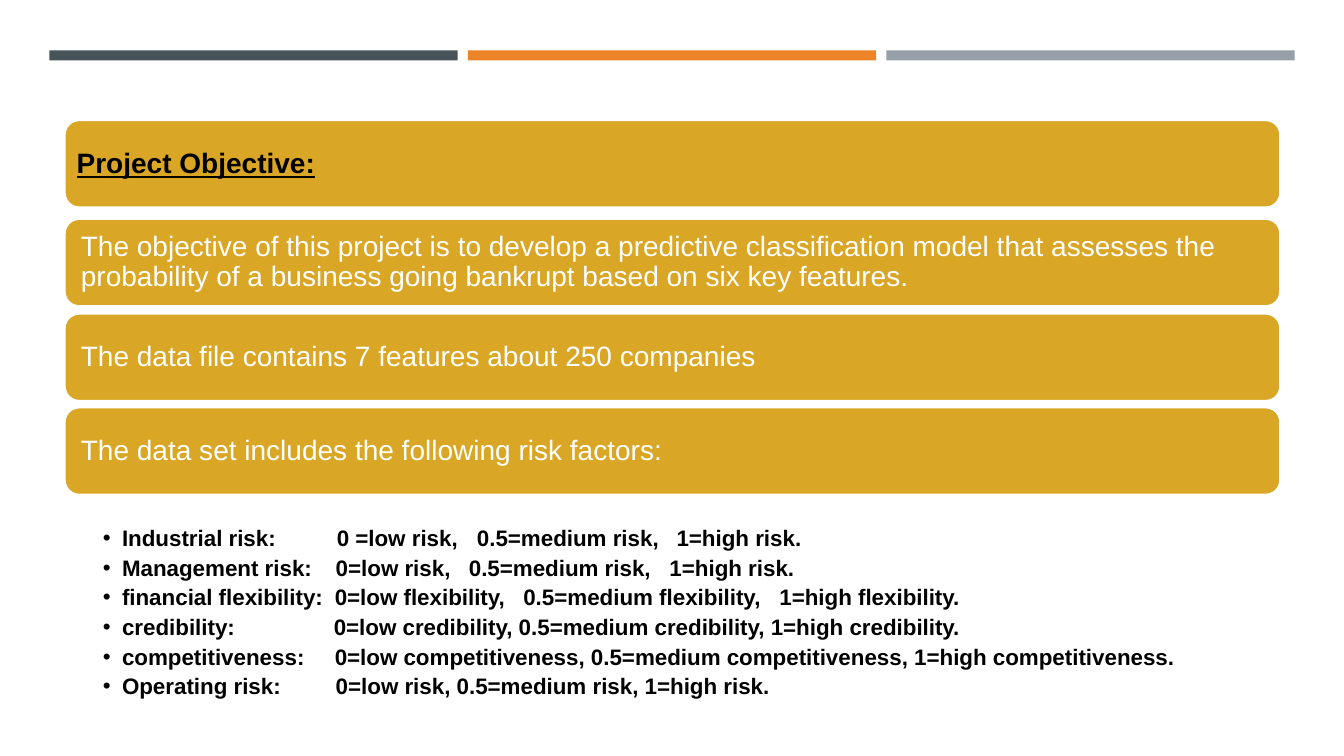
import pptx
import pptx.util
import pptx.dml.color
import pptx.enum.shapes
import pptx.enum.text
import pptx.oxml
import pptx.oxml.ns
import lxml.etree

Inches = pptx.util.Inches
Pt = pptx.util.Pt

COLOURS = {
    "slate": "465359",
    "orange": "ED8428",
    "grey": "969FA7",
    "gold": "D9A725",
    "white": "FFFFFF",
    "black": "000000",
}
FONT = "Arial"

TITLE = "Project Objective:"
STATEMENTS = [
    "The objective of this project is to develop a predictive classification model that "
    "assesses the probability of a business going bankrupt based on six key features.",
    "The data file contains 7 features about 250 companies",
    "The data set includes the following risk factors:",
]
# Each factor: its text and its tab stops, in inches from the text edge.
RISK_FACTORS = [
    ("Industrial risk:\t0 =low risk,\t0.5=medium risk,\t1=high risk.", (2.32, 3.71, 5.69)),
    ("Management risk:\t0=low risk,\t0.5=medium risk,\t1=high risk.", (2.31, 3.63, 5.62)),
    ("financial flexibility:\t0=low flexibility,\t0.5=medium flexibility,\t1=high flexibility.",
     (2.3, 4.17, 6.71)),
    ("credibility:\t0=low credibility, 0.5=medium credibility, 1=high credibility.", (2.29,)),
    ("competitiveness:\t0=low competitiveness, 0.5=medium competitiveness, "
     "1=high competitiveness.", (2.3,)),
    ("Operating risk:\t0=low risk, 0.5=medium risk, 1=high risk.", (2.31,)),
]


def colour(name):
    return pptx.dml.color.RGBColor.from_string(COLOURS[name])


def write(para, text, size=20, ink="white", bold=False, underline=False, after=0):
    para.alignment = pptx.enum.text.PP_ALIGN.LEFT
    para.line_spacing = 0.9
    para.space_before = Pt(0)
    para.space_after = Pt(after)
    span = para.add_run()
    span.text = text
    span.font.name = FONT
    span.font.size = Pt(size)
    span.font.bold = bold
    span.font.underline = underline
    span.font.color.rgb = colour(ink)


def add_bullet_and_tabs(para, stops):
    properties = para._p.get_or_add_pPr()
    properties.set("marL", str(Inches(0.19)))
    properties.set("indent", str(Inches(-0.19)))
    qn = pptx.oxml.ns.qn
    lxml.etree.SubElement(properties, qn("a:buFont"), typeface=FONT)
    lxml.etree.SubElement(properties, qn("a:buChar"), char="•")
    tabs = lxml.etree.SubElement(properties, qn("a:tabLst"))
    for stop in stops:
        lxml.etree.SubElement(tabs, qn("a:tab"), pos=str(Inches(stop)), algn="l")


class ObjectiveSlide:
    def __init__(self, deck):
        self.page = deck.slides.add_slide(deck.slide_layouts[1])

    def place(self, box, left, top, width, height):
        box.left, box.top = Inches(left), Inches(top)
        box.width, box.height = Inches(width), Inches(height)

    def set_frame(self, box, insets, anchor):
        """Set the insets (left, top, right, bottom) and anchor of a box; return its frame."""
        frame = box.text_frame
        frame.word_wrap = True
        frame.auto_size = pptx.enum.text.MSO_AUTO_SIZE.NONE
        frame.vertical_anchor = anchor
        (frame.margin_left, frame.margin_top,
         frame.margin_right, frame.margin_bottom) = map(Inches, insets)
        return frame

    def add_bar(self, left, fill):
        bar = self.page.shapes.add_shape(
            pptx.enum.shapes.MSO_SHAPE.RECTANGLE,
            Inches(left), Inches(0.5), Inches(4.05), Inches(0.1))
        bar.shadow.inherit = False
        bar.fill.solid()
        bar.fill.fore_color.rgb = colour(fill)
        bar.line.fill.background()

    def add_card(self, top, text=None):
        card = self.page.shapes.add_shape(
            pptx.enum.shapes.MSO_SHAPE.ROUNDED_RECTANGLE,
            Inches(0.64), Inches(top), Inches(12.06), Inches(0.87))
        card.shadow.inherit = False
        card.fill.solid()
        card.fill.fore_color.rgb = colour("gold")
        card.line.color.rgb = colour("white")
        card.line.width = Pt(1.75)
        if text:
            frame = self.set_frame(card, [0.12] * 4, pptx.enum.text.MSO_ANCHOR.MIDDLE)
            write(frame.paragraphs[0], text)

    def add_title(self, text):
        title = self.page.shapes.title
        self.page.shapes.element.append(title.element)  # in front of its card
        self.place(title, 0.68, 1.24, 11.98, 0.79)
        frame = self.set_frame(title, [0.08] * 4, pptx.enum.text.MSO_ANCHOR.MIDDLE)
        write(frame.paragraphs[0], text, ink="black", bold=True, underline=True)

    def add_risk_list(self, factors):
        body = self.page.placeholders[1]
        self.place(body, 0.64, 4.92, 12.06, 1.99)
        frame = self.set_frame(body, (0.38, 0.31, 0.16, 0.03), pptx.enum.text.MSO_ANCHOR.TOP)
        for index, (text, stops) in enumerate(factors):
            para = frame.add_paragraph() if index else frame.paragraphs[0]
            add_bullet_and_tabs(para, stops)
            write(para, text, size=16, ink="black", bold=True, after=3.9)


def main():
    deck = pptx.Presentation()
    deck.slide_width, deck.slide_height = Inches(13.33), Inches(7.5)
    slide = ObjectiveSlide(deck)
    for index, fill in enumerate(("slate", "orange", "grey")):
        slide.add_bar(0.49 + 4.15 * index, fill)
    slide.add_card(1.19)
    slide.add_title(TITLE)
    for top, text in zip((2.17, 3.11, 4.04), STATEMENTS):
        slide.add_card(top, text)
    slide.add_risk_list(RISK_FACTORS)
    deck.save("out.pptx")


if __name__ == "__main__":
    main()
